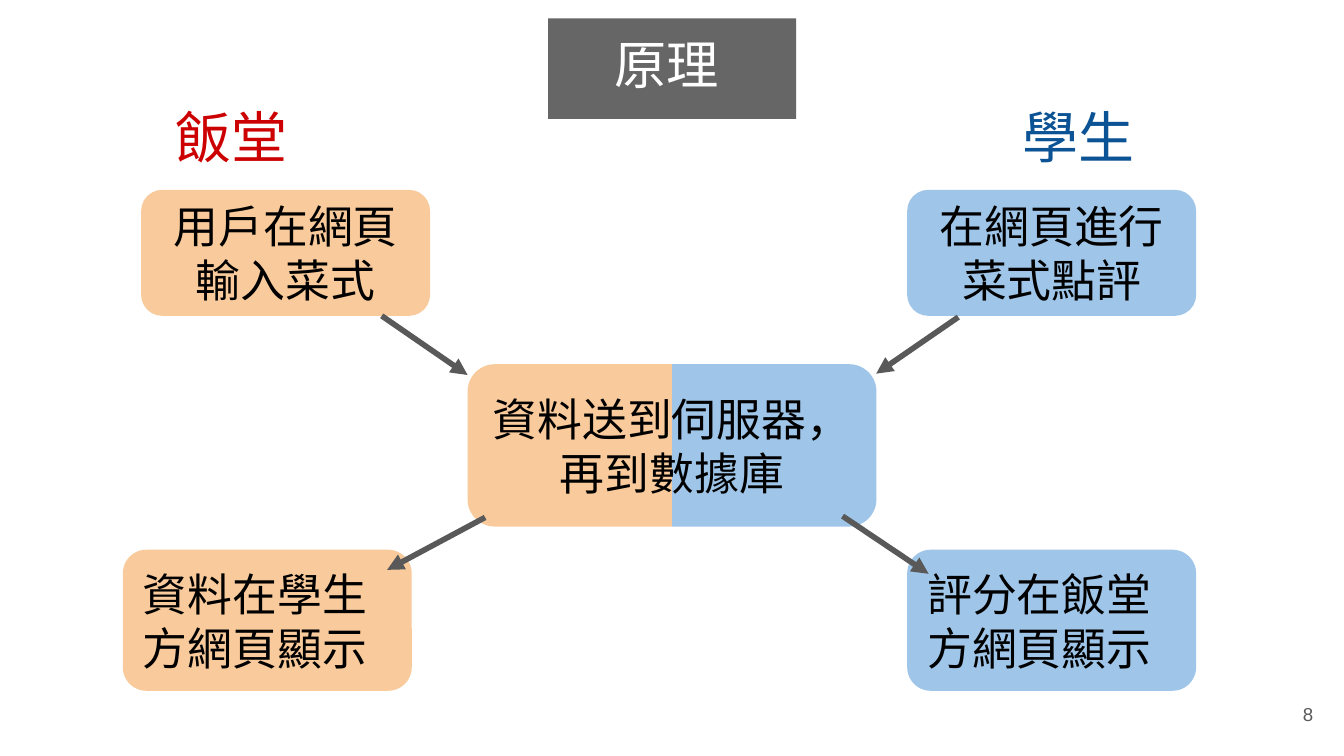
from lxml import etree
from pptx import Presentation
from pptx.dml.color import RGBColor
from pptx.enum import shapes, text
from pptx.oxml import ns
from pptx.util import Pt

WHITE = RGBColor(0xFF, 0xFF, 0xFF)
BLACK = RGBColor(0, 0, 0)
GRAY = RGBColor(0x66, 0x66, 0x66)
DARK_GRAY = RGBColor(0x59, 0x59, 0x59)
ORANGE = RGBColor(0xF9, 0xCB, 0x9C)
BLUE = RGBColor(0x9F, 0xC5, 0xE8)
RED = RGBColor(0xCC, 0, 0)
NAVY = RGBColor(0x0B, 0x53, 0x94)

FONT = "Arial"
CORNER = 0.167
LEFT, CENTER, RIGHT = text.PP_ALIGN.LEFT, text.PP_ALIGN.CENTER, text.PP_ALIGN.RIGHT
TOP, MIDDLE = text.MSO_ANCHOR.TOP, text.MSO_ANCHOR.MIDDLE
RECTANGLE = shapes.MSO_SHAPE.RECTANGLE
ROUNDED = shapes.MSO_SHAPE.ROUNDED_RECTANGLE
HALF_ROUNDED = shapes.MSO_SHAPE.ROUND_2_SAME_RECTANGLE

STEP_WIDTH = 154.8
INPUT_TOP, INPUT_HEIGHT = 101.7, 67.5
RESULT_TOP, RESULT_HEIGHT = 294.5, 75.6
HUB_LEFT, HUB_TOP, HUB_WIDTH, HUB_HEIGHT = 250.5, 195.1, 219, 87


def box(area):
    return [Pt(length) for length in area]


def write(shape, words, size, color, align=LEFT, anchor=TOP):
    frame = shape.text_frame
    frame.word_wrap = True
    frame.vertical_anchor = anchor
    frame.margin_left = frame.margin_right = Pt(7.2)
    frame.margin_top = frame.margin_bottom = Pt(7.2)
    frame.text = words
    paragraph = frame.paragraphs[0]
    paragraph.alignment = align
    font = paragraph.runs[0].font
    font.name, font.size = FONT, Pt(size)
    font.color.rgb = color


def add_label(slide, area, words, size, color, align=LEFT, anchor=TOP):
    write(slide.shapes.add_textbox(*box(area)), words, size, color, align, anchor)


def add_block(slide, kind, area, fill=None):
    """Add a borderless shape, see-through when it has no fill."""
    block = slide.shapes.add_shape(kind, *box(area))
    block.shadow.inherit = False
    block.line.fill.background()
    if fill is None:
        block.fill.background()
    else:
        block.fill.solid()
        block.fill.fore_color.rgb = fill
    return block


def add_step(slide, area, words, fill=None, align=CENTER):
    step = add_block(slide, ROUNDED, area, fill)
    step.adjustments[0] = CORNER
    write(step, words, 24, BLACK, align, MIDDLE)


def add_hub_half(slide, left, fill, rotation):
    """Add half of the hub, turned so that its round corners face outwards."""
    width, height = HUB_HEIGHT, HUB_WIDTH / 2
    shift = (height - width) / 2
    half = add_block(slide, HALF_ROUNDED, (left + shift, HUB_TOP - shift, width, height), fill)
    half.adjustments[0] = CORNER
    half.adjustments[1] = 0
    half.rotation = rotation


def add_arrow(slide, ends):
    arrow = slide.shapes.add_connector(shapes.MSO_CONNECTOR.STRAIGHT, *box(ends))
    arrow.line.color.rgb = DARK_GRAY
    arrow.line.width = Pt(3)
    line = arrow.line._get_or_add_ln()
    etree.SubElement(line, ns.qn("a:tailEnd"), type="triangle")
    etree.SubElement(arrow._element.spPr, ns.qn("a:effectLst"))


def main():
    deck = Presentation()
    deck.slide_width, deck.slide_height = Pt(720), Pt(405)
    slide = deck.slides.add_slide(deck.slide_layouts[6])

    title = add_block(slide, RECTANGLE, (293.6, 9.9, 133, 53.8), GRAY)
    write(title, "原理 ", 28, WHITE, CENTER)
    add_label(slide, (667.4, 367.2, 43.2, 31), "8", 10, DARK_GRAY, RIGHT, MIDDLE)

    for left, words, fill in ((75.6, "用戶在網頁輸入菜式", ORANGE),
                              (486, "在網頁進行菜式點評", BLUE)):
        add_step(slide, (left, INPUT_TOP, STEP_WIDTH, INPUT_HEIGHT), words, fill)
    for left, words, fill in ((65.8, "資料在學生方網頁顯示", ORANGE),
                              (486, "評分在飯堂方網頁顯示", BLUE)):
        add_step(slide, (left, RESULT_TOP, STEP_WIDTH, RESULT_HEIGHT), words, fill, LEFT)

    add_hub_half(slide, HUB_LEFT, ORANGE, 270)
    add_hub_half(slide, HUB_LEFT + HUB_WIDTH / 2, BLUE, 90)
    add_step(slide, (HUB_LEFT, 200.9, HUB_WIDTH, 75.6), "資料送到伺服器，再到數據庫")

    for ends in ((204.5, 169.2, 250.5, 200.9), (513.4, 169.9, 469.4, 200.2),
                 (259.9, 277.2, 207.4, 305.3), (451.4, 276.5, 497.5, 307.4)):
        add_arrow(slide, ends)

    add_label(slide, (87.1, 47.5, 97.2, 54), "飯堂", 30, RED)
    add_label(slide, (540.7, 47.5, 88.6, 54), "學生", 30, NAVY)

    deck.save("out.pptx")


if __name__ == "__main__":
    main()
